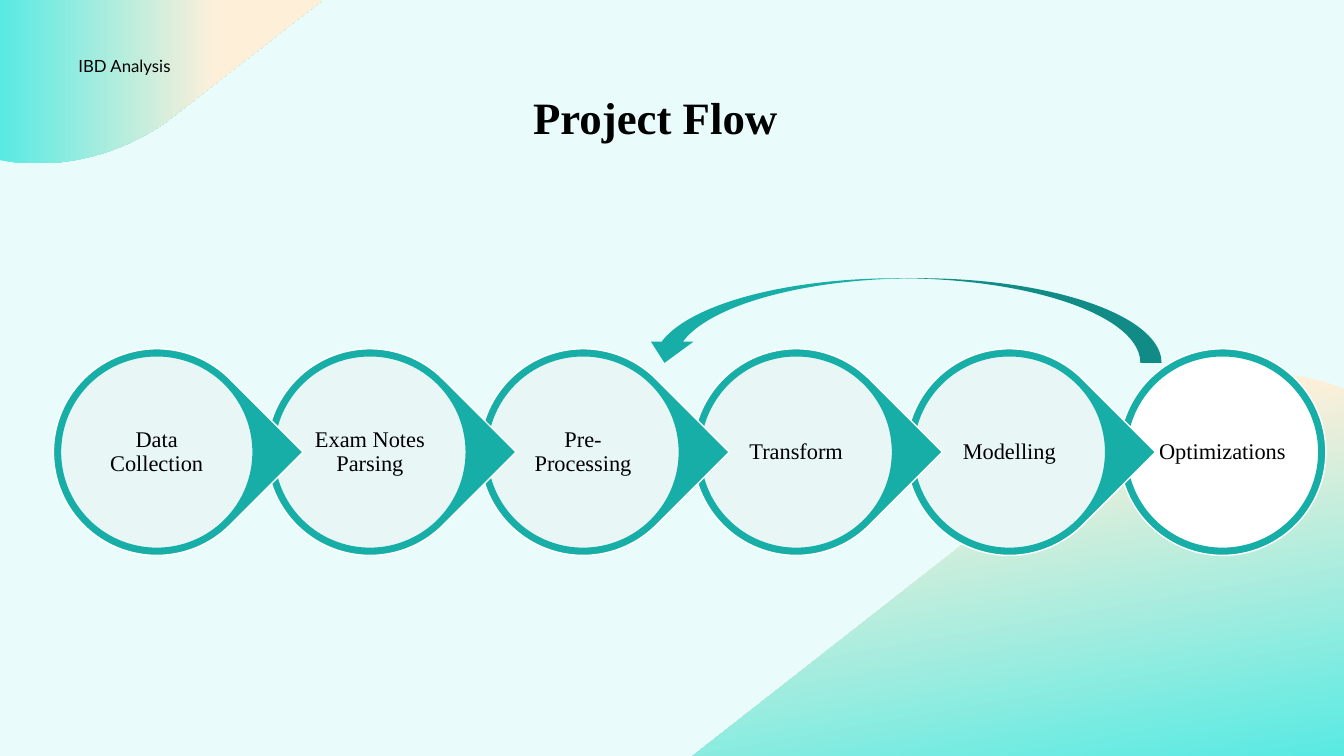
from pptx import Presentation, util as u
from pptx.dml.color import RGBColor
from pptx.enum import shapes, text

STEPS = ["Data Collection", "Exam Notes Parsing", "Pre-Processing",
         "Transform", "Modelling", "Optimizations"]
TEAL, WHITE, MIST, BLACK = "16AEA7", "FFFFFF", "E8F7F6", "000000"
AQUA, PEACH, BACK = "58EAE3", "FEEFD9", "E9FCFB"
SERIF = "Times New Roman"
HILL = [(12.53, 3.7), (12.77, 3.7, 13, 3.74, 13.23, 3.82), (13.33, 3.86),
        (13.33, 7.5), (6.87, 7.5), (11.16, 4.14), (11.2, 4.1),
        (11.57, 3.85, 11.98, 3.71, 12.4, 3.7),
        (12.44, 3.7, 12.48, 3.69, 12.53, 3.7)]
CORNER = [(0, 0), (3.2, 0), (1.7, 1.17), (1.65, 1.21),
          (1.29, 1.46, 0.88, 1.6, 0.46, 1.62),
          (0.42, 1.62, 0.37, 1.62, 0.33, 1.62),
          (0.27, 1.62, 0.21, 1.61, 0.15, 1.61), (0, 1.59)]
FIRST, LAST, TOP = 0.53, 11.1, 3.46
RING, DISC, LABEL = 2.05, 1.91, 1.36
PITCH = (LAST - FIRST) / (len(STEPS) - 1)

deck = Presentation()
deck.slide_width, deck.slide_height = u.Inches(13.33), u.Inches(7.5)
slide = deck.slides.add_slide(deck.slide_layouts[5])


def tint(hue):
    return RGBColor.from_string(hue)


def trace(parts):
    dots = [parts[0]]
    for part in parts[1:]:
        if len(part) == 2:
            dots.append(part)
            continue
        ends = dots[-1] + part
        for n in range(1, 17):
            t = n / 16
            mix = ((1 - t) ** 3, 3 * t * (1 - t) ** 2, 3 * t * t * (1 - t), t ** 3)
            dots.append(tuple(sum(m * v for m, v in zip(mix, ends[k::2]))
                              for k in (0, 1)))
    return [(u.Inches(x), u.Inches(y)) for x, y in dots]


def blob(parts, stops, angle):
    dots = trace(parts)
    pen = slide.shapes.build_freeform(*dots[0])
    pen.add_line_segments(dots[1:], close=True)
    form = pen.convert_to_shape()
    form.shadow.inherit = False
    form.line.fill.background()
    form.fill.gradient()
    form.fill.gradient_angle = angle
    for stop, (place, hue) in zip(form.fill.gradient_stops, stops):
        stop.position, stop.color.rgb = place, tint(hue)


def shape(kind, box, fill, line=None, turn=0):
    form = slide.shapes.add_shape(kind, *map(u.Inches, box))
    form.shadow.inherit = False
    form.rotation = turn
    form.fill.solid()
    form.fill.fore_color.rgb = tint(fill)
    if line:
        form.line.color.rgb, form.line.width = tint(line), u.Pt(1)
    else:
        form.line.fill.background()


def write(form, words, size, face, bold=False, anchor=text.MSO_ANCHOR.MIDDLE,
          align=text.PP_ALIGN.CENTER, lead=0.9):
    frame = form.text_frame
    frame.word_wrap, frame.vertical_anchor = True, anchor
    frame.text = words
    para = frame.paragraphs[0]
    para.alignment, para.line_spacing = align, lead
    font = para.font
    font.size, font.name, font.bold = u.Pt(size), face, bold
    font.color.rgb = tint(BLACK)
    return frame


def label(box):
    return slide.shapes.add_textbox(*map(u.Inches, box))


def inner(left, size):
    gap = (RING - size) / 2
    return left + gap, TOP + gap, size, size


slide.background.fill.solid()
slide.background.fill.fore_color.rgb = tint(BACK)
blob(HILL, [(0.23, PEACH), (1, AQUA)], 280)
blob(CORNER, [(0, AQUA), (0.67, PEACH)], 0)

title = slide.shapes.title
title.left, title.top, title.width, title.height = map(u.Inches, (3, 0.64, 7, 0.84))
write(title, "Project Flow", 32, SERIF, True, text.MSO_ANCHOR.BOTTOM)

kinds = shapes.MSO_SHAPE
for i, step in reversed(list(enumerate(STEPS))):
    left = FIRST + i * PITCH
    end = i == len(STEPS) - 1
    shape(kinds.OVAL if end else kinds.TEAR, (left, TOP, RING, RING),
          TEAL, WHITE, 0 if end else 45)
    shape(kinds.OVAL, inner(left, DISC), WHITE if end else MIST, TEAL)
    frame = write(label(inner(left, LABEL)), step, 16, SERIF)
    frame.margin_left = frame.margin_right = u.Inches(0.02)
    frame.margin_top = frame.margin_bottom = u.Inches(0.02)

shape(kinds.CURVED_UP_ARROW, (6.38, 2.76, 5.14, 0.84), TEAL, turn=180)
write(label((0.68, 0.5, 3.5, 0.3)), "IBD Analysis", 12, "Lato",
      align=text.PP_ALIGN.LEFT, lead=1.0)

deck.save("out.pptx")
